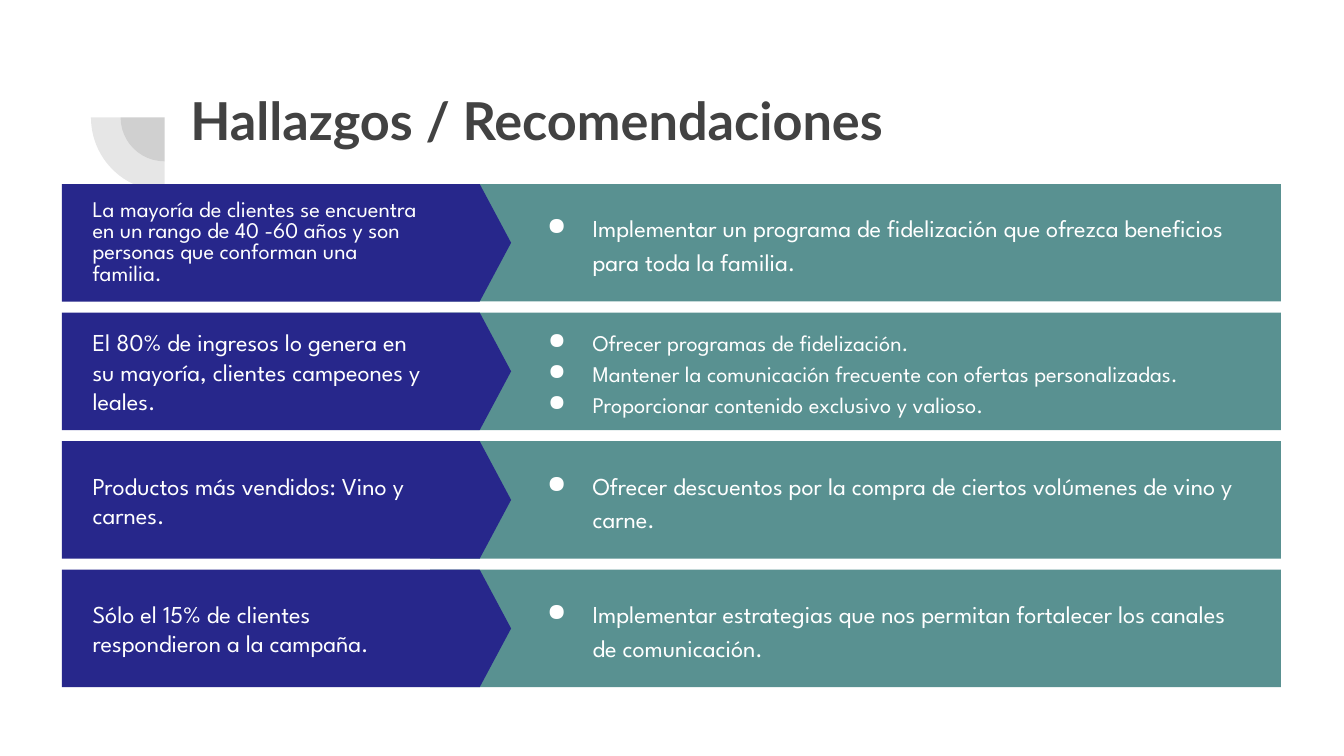
from lxml.etree import SubElement
from pptx import Presentation
from pptx.dml.color import RGBColor
from pptx.enum.shapes import MSO_SHAPE
from pptx.enum.text import MSO_ANCHOR
from pptx.oxml.ns import qn
from pptx.util import Cm, Pt

COLOURS = {
    "title": "424242",
    "finding": "27278B",
    "advice": "599191",
    "text": "FFFFFF",
}
BODY_FONT = "League Spartan"
TITLE_FONT = "Lato"
ROW_TOP, ROW_STEP, ROW_HEIGHT = 3.48, 2.43, 2.22
ROW_LEFT, ROW_WIDTH = 1.17, 23.04

ROWS = [
    (
        "La mayoría de clientes se encuentra en un rango de 40 -60 años y son personas que conforman una familia.",
        12, 0.8,
        ["Implementar un programa de fidelización que ofrezca beneficios para toda la familia."],
        13,
    ),
    (
        "El 80% de ingresos lo genera en su mayoría, clientes campeones y leales.",
        13, 1.0,
        [
            "Ofrecer programas de fidelización.",
            "Mantener la comunicación frecuente con ofertas personalizadas.",
            "Proporcionar contenido exclusivo y valioso.",
        ],
        12,
    ),
    (
        "Productos más vendidos: Vino y carnes.",
        13, 1.0,
        ["Ofrecer descuentos por la compra de ciertos volúmenes de vino y carne."],
        13,
    ),
    (
        "Sólo el 15% de clientes respondieron a la campaña.",
        13, 1.0,
        ["Implementar estrategias que nos permitan fortalecer los canales de comunicación."],
        13,
    ),
]


def add_filled_shape(page, kind, box, colour):
    """Add a borderless preset shape in a solid colour."""
    shape = page.shapes.add_shape(kind, *map(Cm, box))
    shape.shadow.inherit = False
    shape.fill.solid()
    shape.fill.fore_color.rgb = RGBColor.from_string(COLOURS[colour])
    shape.line.fill.background()
    return shape


def add_text(page, box, lines, font_name, size, colour, spacing=1.0, anchor=MSO_ANCHOR.MIDDLE, bold=False):
    """Add a wrapped text box with one paragraph per line."""
    text_box = page.shapes.add_textbox(*map(Cm, box))
    frame = text_box.text_frame
    frame.word_wrap = True
    frame.vertical_anchor = anchor
    frame.margin_left = frame.margin_right = Cm(0.25)
    frame.margin_top = frame.margin_bottom = Cm(0.25)
    frame.text = "\n".join(lines)
    for paragraph in frame.paragraphs:
        paragraph.line_spacing = spacing
        paragraph.font.name = font_name
        paragraph.font.size = Pt(size)
        paragraph.font.bold = bold
        paragraph.font.color.rgb = RGBColor.from_string(COLOURS[colour])
    return text_box


def add_bullet(paragraph, indent):
    """Give a paragraph a round bullet with a hanging indent."""
    properties = paragraph._p.get_or_add_pPr()
    properties.set("marL", str(Cm(1.27)))
    properties.set("indent", str(-Cm(indent)))
    bullet_colour = SubElement(properties, qn("a:buClr"))
    SubElement(bullet_colour, qn("a:srgbClr"), val=COLOURS["text"])
    SubElement(properties, qn("a:buChar"), char="●")
    default_run = properties.find(qn("a:defRPr"))
    if default_run is not None:
        properties.append(default_run)


def add_header(page, box):
    """Place the quarter-circle ornament and the title."""
    left, top, width, height = box
    centre_x, centre_y = left + 1.39, top + 0.8
    for radius in (0.83, 1.39):
        pie_box = (centre_x - radius, centre_y - radius, 2 * radius, 2 * radius)
        pie = add_filled_shape(page, MSO_SHAPE.PIE, pie_box, "title")
        pie.adjustments[0] = 54
        pie.adjustments[1] = 108
        colour = pie.fill._xPr.find(qn("a:solidFill")).find(qn("a:srgbClr"))
        SubElement(colour, qn("a:alpha"), val="13000")
    title_box = (left + 1.63, top, width - 1.63, height)
    add_text(page, title_box, ["Hallazgos / Recomendaciones"], TITLE_FONT, 28, "title",
             anchor=MSO_ANCHOR.TOP, bold=True)


def add_row(page, box, finding, finding_size, finding_spacing, advice, advice_size):
    """Place one finding arrow and its recommendation band."""
    left, top, width, height = box
    add_filled_shape(page, MSO_SHAPE.RECTANGLE, (left + 6.96, top, width - 6.96, height), "advice")
    arrow = add_filled_shape(page, MSO_SHAPE.PENTAGON, (left, top, 8.49, height), "finding")
    arrow.adjustments[0] = 0.267
    add_text(page, (left + 0.33, top, 6.73, height), [finding], BODY_FONT, finding_size, "text",
             finding_spacing)
    advice_box = add_text(page, (left + 8.51, top, 14.2, height), advice, BODY_FONT, advice_size,
                          "text", 1.15)
    for paragraph in advice_box.text_frame.paragraphs:
        add_bullet(paragraph, 0.86 if advice_size == 13 else 0.84)


def main():
    """Build the slide and save the deck."""
    deck = Presentation()
    deck.slide_width, deck.slide_height = Cm(25.4), Cm(14.29)
    page = deck.slides.add_slide(deck.slide_layouts[6])
    add_header(page, (1.72, 1.42, 21.16, 2.77))
    for index, row in enumerate(ROWS):
        add_row(page, (ROW_LEFT, ROW_TOP + index * ROW_STEP, ROW_WIDTH, ROW_HEIGHT), *row)
    deck.save("out.pptx")


if __name__ == "__main__":
    main()
